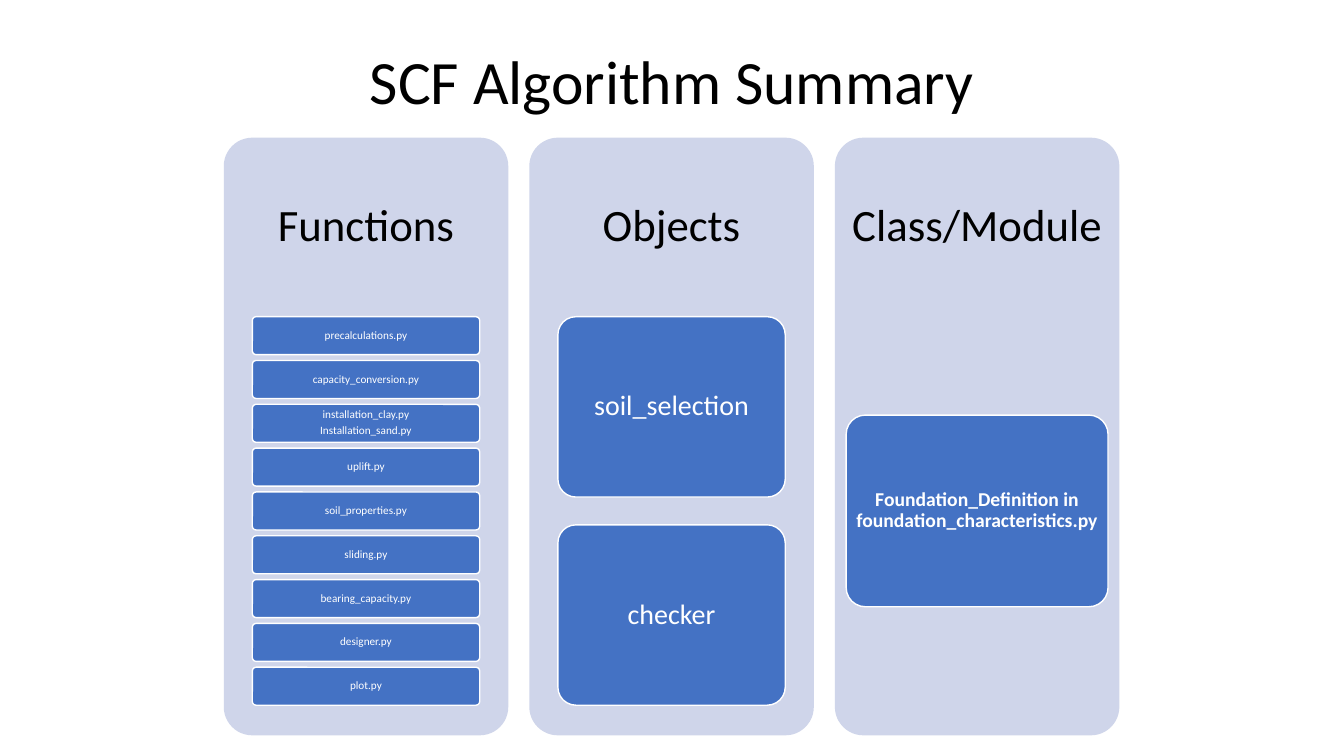
from dataclasses import dataclass

from pptx import Presentation
from pptx.dml.color import RGBColor as Rgb
from pptx.enum.shapes import MSO_SHAPE as Preset
from pptx.enum.text import MSO_ANCHOR as Anchor, PP_ALIGN as Align
from pptx.util import Cm, Pt


@dataclass(frozen=True)
class Theme:
    """Colours, font and type sizes of the slide."""
    font: str = "Calibri"
    dark: str = "000000"
    light: str = "FFFFFF"
    panel: str = "CFD5EA"
    card: str = "4472C4"
    title_size: int = 44
    heading_size: int = 32
    file_size: int = 8
    object_size: int = 20
    class_size: int = 14


@dataclass(frozen=True)
class Column:
    """One panel of the summary with its cards."""
    heading: str
    cards: tuple
    size: int
    bold: bool = False
    card_width: float = 5.73
    card_height: float = 0


THEME = Theme()
PANEL_LEFT, PANEL_TOP, PANEL_WIDTH, PANEL_HEIGHT = 5.64, 3.47, 7.17, 15.06
PANEL_PITCH = 7.7
HEADING_HEIGHT = 4.52
STACK_TOP, STACK_HEIGHT = 7.98, 9.79
GAP_RATIO = 0.154

COLUMNS = (
    Column("Functions", (
        "precalculations.py",
        "capacity_conversion.py",
        "installation_clay.py\nInstallation_sand.py",
        "uplift.py",
        "soil_properties.py",
        "sliding.py",
        "bearing_capacity.py",
        "designer.py",
        "plot.py",
    ), THEME.file_size),
    Column("Objects", ("soil_selection", "checker"), THEME.object_size),
    Column("Class/Module",
           ("Foundation_Definition in foundation_characteristics.py",),
           THEME.class_size, True, 6.6, 4.83),
)


def apply(target, values):
    """Set every attribute named in values on the target."""
    for name, value in values.items():
        setattr(target, name, value)


def write(box, text, size, colour, inset, bold=False, space=0.35):
    """Write centred paragraphs into a box, one for each line of text."""
    frame = box.text_frame
    sides = ("margin_left", "margin_top", "margin_right", "margin_bottom")
    apply(frame, {"word_wrap": True, "vertical_anchor": Anchor.MIDDLE,
                  **dict.fromkeys(sides, Cm(inset))})
    frame.text = text
    for para in frame.paragraphs:
        apply(para, {"alignment": Align.CENTER, "line_spacing": 0.9,
                     "space_before": Pt(0), "space_after": Pt(size * space)})
        for span in para.runs:
            apply(span.font, {"name": THEME.font, "size": Pt(size), "bold": bold})
            span.font.color.rgb = Rgb.from_string(colour)


def add_rounded(page, left, top, width, height, fill, line=None):
    """Add a rounded rectangle without shadow."""
    box = page.shapes.add_shape(Preset.ROUNDED_RECTANGLE,
                                Cm(left), Cm(top), Cm(width), Cm(height))
    box.adjustments[0] = 0.1
    box.shadow.inherit = False
    box.fill.solid()
    box.fill.fore_color.rgb = Rgb.from_string(fill)
    if line:
        box.line.color.rgb = Rgb.from_string(line)
        box.line.width = Pt(1)
    else:
        box.line.fill.background()
    return box


def add_title(page, text):
    """Place and fill the title placeholder."""
    title = page.shapes.title
    apply(title, {"left": Cm(2.34), "top": Cm(0.3),
                  "width": Cm(29.2), "height": Cm(3.68)})
    write(title, text, THEME.title_size, THEME.dark, 0.2, space=0)


def add_column(page, left, column):
    """Add a panel, its heading and an evenly spaced stack of cards."""
    add_rounded(page, left, PANEL_TOP, PANEL_WIDTH, PANEL_HEIGHT, THEME.panel)
    heading = page.shapes.add_textbox(Cm(left), Cm(PANEL_TOP),
                                      Cm(PANEL_WIDTH), Cm(HEADING_HEIGHT))
    write(heading, column.heading, THEME.heading_size, THEME.dark, 0.33)

    count = len(column.cards)
    units = count + (count - 1) * GAP_RATIO
    height = column.card_height or STACK_HEIGHT / units
    top = STACK_TOP + (STACK_HEIGHT - height * units) / 2
    card_left = left + (PANEL_WIDTH - column.card_width) / 2
    for index, text in enumerate(column.cards):
        card_top = top + index * height * (1 + GAP_RATIO)
        card = add_rounded(page, card_left, card_top, column.card_width, height,
                           THEME.card, THEME.light)
        write(card, text, column.size, THEME.light, 0.08, column.bold)


def main():
    """Build and save the slide."""
    deck = Presentation()
    apply(deck, {"slide_width": Cm(33.87), "slide_height": Cm(19.05)})
    page = deck.slides.add_slide(deck.slide_layouts[5])
    add_title(page, "SCF Algorithm Summary")
    for index, column in enumerate(COLUMNS):
        add_column(page, PANEL_LEFT + index * PANEL_PITCH, column)
    deck.save("out.pptx")


main()
